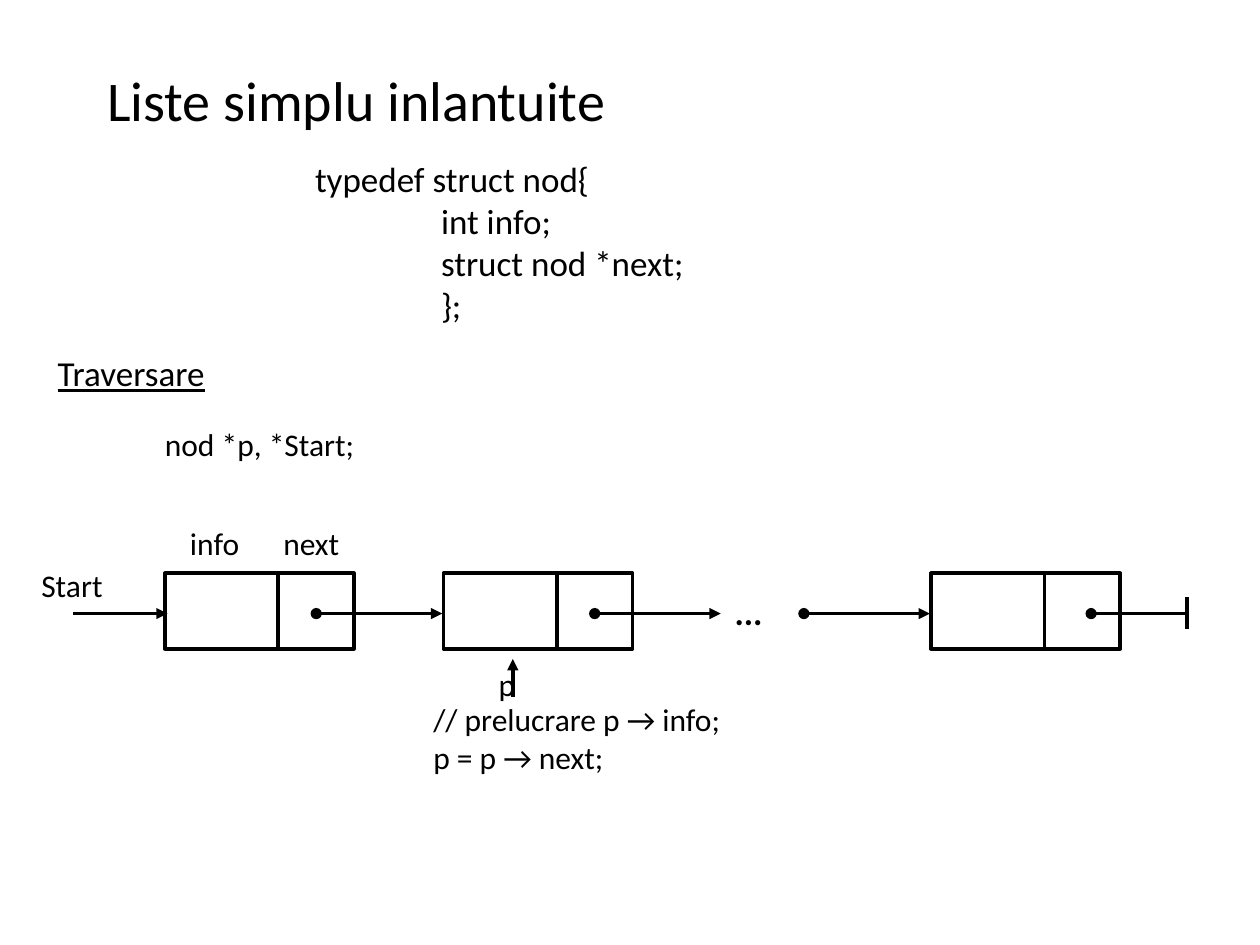
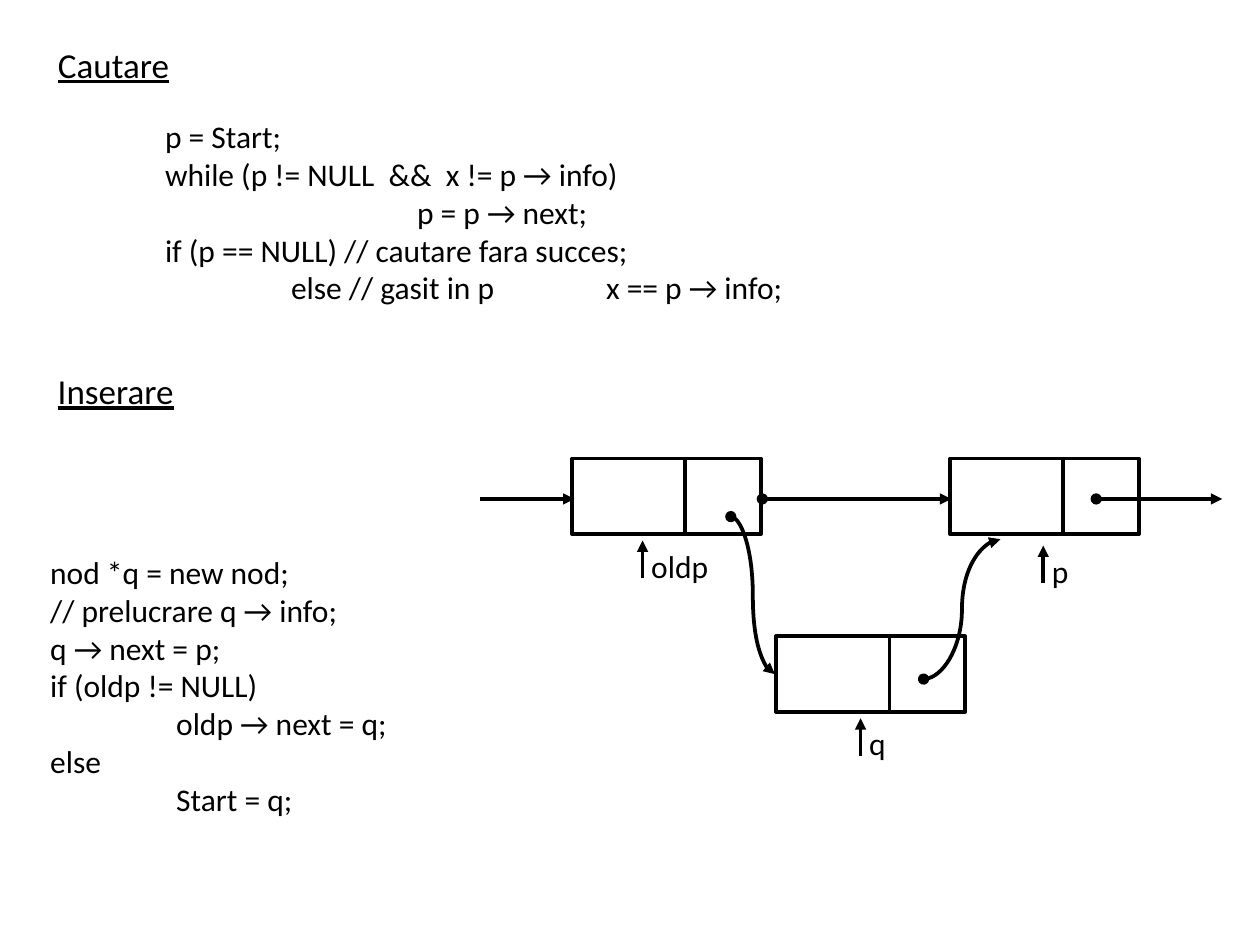
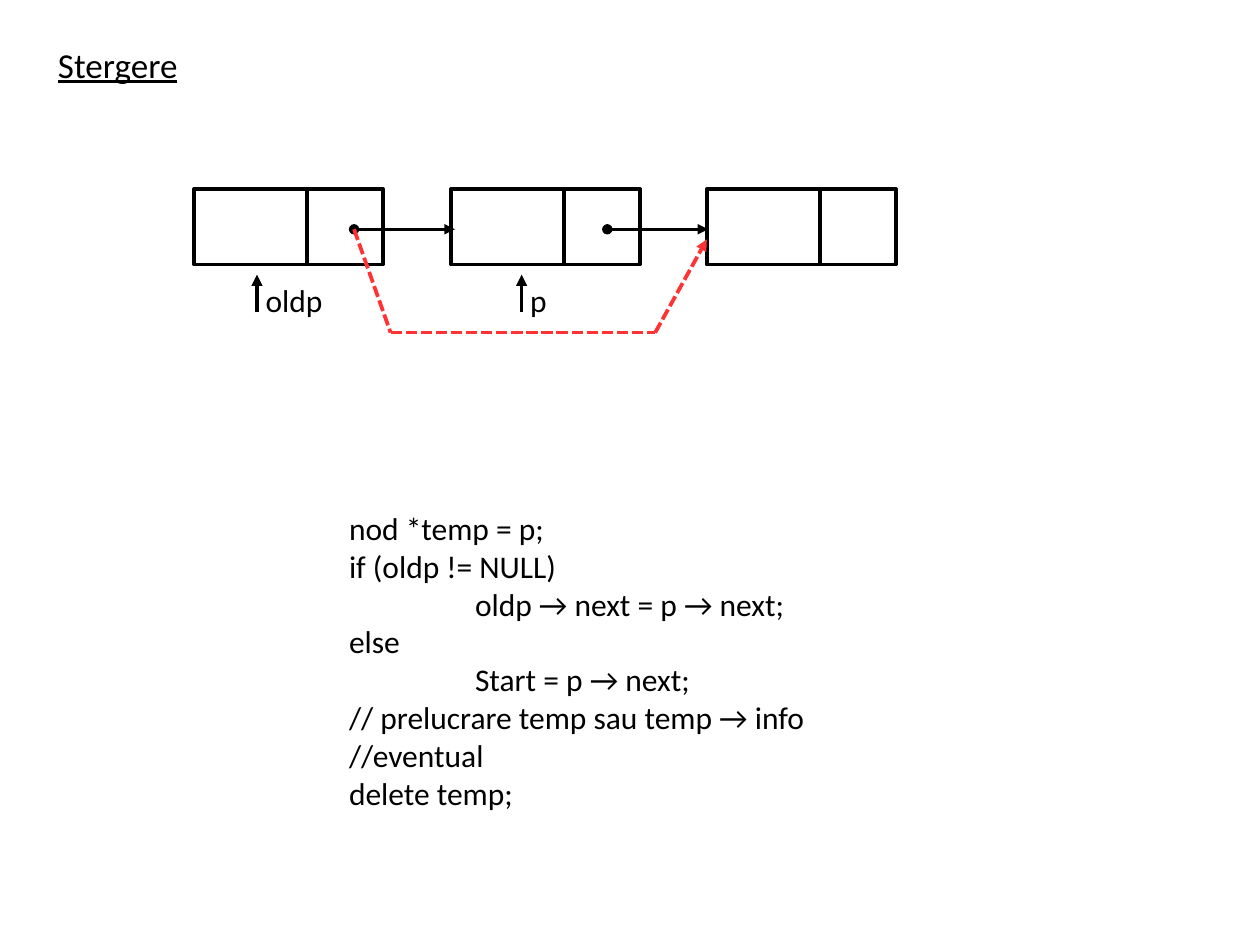
from pptx import Presentation
from pptx import util as u
from pptx.dml.color import RGBColor
from pptx.enum import dml, shapes, text
from pptx.oxml.ns import qn
from lxml import etree

EMU_PER_PX = 9144  # 100 px to the inch
BLACK, RED = "000000", "FF3333"
FONT = "Calibri"
TAB = 100
DATA_WIDTH, LINK_WIDTH, NODE_HEIGHT = 90, 60, 60
LINK_DROP = 32  # from the top of a node to its arrows


def px(value):
    return u.Emu(value * EMU_PER_PX)


def color(value):
    return RGBColor.from_string(value)


def write(shape, content, size=18, bold=False, underline=False,
          anchor=text.MSO_ANCHOR.TOP, inset=(10, 5)):
    """Fill a shape with one paragraph a line; leading tabs become indents."""
    frame = shape.text_frame
    frame.word_wrap = True
    frame.auto_size = text.MSO_AUTO_SIZE.NONE
    frame.vertical_anchor = anchor
    frame.margin_left = frame.margin_right = px(inset[0])
    frame.margin_top = frame.margin_bottom = px(inset[1])
    for number, line in enumerate(content.split("\n")):
        para = frame.paragraphs[0] if number == 0 else frame.add_paragraph()
        para.alignment = text.PP_ALIGN.LEFT
        para.space_before = u.Pt(0)
        words = line.lstrip("\t")
        props = para._p.get_or_add_pPr()
        props.set("marL", str(px((len(line) - len(words)) * TAB)))
        props.set("indent", "0")
        etree.SubElement(props, qn("a:buNone"))
        span = para.add_run()
        span.text = words
        font = span.font
        font.name, font.size, font.bold = FONT, u.Pt(size), bold
        font.underline = underline
        font.color.rgb = color(BLACK)


class Board:
    """The deck's style and the slide being filled."""

    HEADING = dict(size=20, underline=True, anchor=text.MSO_ANCHOR.MIDDLE)
    LINE = 2.15

    def __init__(self):
        self.deck = Presentation()
        self.deck.slide_width, self.deck.slide_height = px(1000), px(750)
        self.page = None

    def new_page(self):
        self.page = self.deck.slides.add_slide(self.deck.slide_layouts[1])

    def placeholder(self, index, place, content, **style):
        holder = self.page.placeholders[index]
        holder.left, holder.top, holder.width, holder.height = map(px, place)
        write(holder, content, **style)

    def title(self, content, place=(36, 22, 222, 58), **style):
        self.placeholder(0, place, content, **(self.HEADING | style))

    def body(self, place, content, **style):
        self.placeholder(1, place, content, **style)

    def box(self, place, content, **style):
        write(self.page.shapes.add_textbox(*map(px, place)), content, **style)

    def heading(self, top, content):
        self.box((36, top, 222, 58), content, **self.HEADING)

    def node(self, left, top):
        for start, width in ((left, DATA_WIDTH), (left + DATA_WIDTH, LINK_WIDTH)):
            cell = self.page.shapes.add_shape(
                shapes.MSO_SHAPE.RECTANGLE,
                px(start), px(top), px(width), px(NODE_HEIGHT))
            cell.shadow.inherit = False
            cell.fill.background()
            cell.line.color.rgb = color(BLACK)
            cell.line.width = u.Pt(self.LINE)

    def line(self, start, end, head=None, tail=None, ink=BLACK, width=LINE,
             dash=None, kind=shapes.MSO_CONNECTOR.STRAIGHT):
        link = self.page.shapes.add_connector(kind, *map(px, start + end))
        link.line.color.rgb = color(ink)
        link.line.width = u.Pt(width)
        if dash:
            link.line.dash_style = dash
        stroke = link.line._get_or_add_ln()
        for tag, shape_type in (("a:headEnd", head), ("a:tailEnd", tail)):
            if shape_type:
                etree.SubElement(stroke, qn(tag), type=shape_type)
        etree.SubElement(link._element.spPr, qn("a:effectLst"))

    def link(self, start, end, **style):
        """An arrow that leaves the dot in a node."""
        self.line(start, end, head="oval", tail="triangle", **style)

    def pointer(self, x, top, name, shift=-3):
        """A short upward arrow with a variable's name."""
        self.line((x, top + 30), (x, top), tail="triangle")
        self.box((x + shift, top, 95, 39), name)


def traversal_page(board):
    board.new_page()
    board.title("Liste simplu inlantuite", (75, 50, 850, 58),
                size=32, underline=False)
    board.body((240, 120, 420, 143),
               "typedef struct nod{\n\tint info;\n\tstruct nod *next;\n\t};", size=20)
    board.heading(267, "Traversare")
    board.box((121, 332, 391, 39), "nod *p, *Start;")

    # Linked list
    top = 455
    y = top + LINK_DROP
    for left in (131, 352, 739):
        board.node(left, top)
    board.line((58, y), (133, y), tail="triangle")
    for x in (251, 472, 638):
        board.link((x, y), (x + 100, y))
    board.box((583, 469, 38, 32), "...", size=20, bold=True,
              anchor=text.MSO_ANCHOR.MIDDLE, inset=(0, 0))
    board.line((866, y), (941, y), head="oval")
    board.line((942, 474), (942, 499))

    # Labels
    for left, label_top, name in ((23, 444, "Start"), (141, 411, "info"),
                                  (215, 411, "next")):
        board.box((left, label_top, 87, 39), name)
    board.pointer(407, 523, "p", shift=-21)
    board.box((334, 551, 391, 95), "// prelucrare p → info;\np = p → next;")


def search_and_insert_page(board):
    board.new_page()
    board.title("Cautare")
    board.body((121, 88, 789, 212),
               "p = Start;\n"
               "while (p != NULL  &&  x != p → info)\n"
               "\t\tp = p → next;\n"
               "if (p == NULL) // cautare fara succes;\n"
               "\telse // gasit in p\t\tx == p → info;")
    board.heading(281, "Inserare")
    board.box((30, 434, 391, 225),
              "nod *q = new nod;\n"
              "// prelucrare q → info;\n"
              "q → next = p;\n"
              "if (oldp != NULL)\n"
              "\toldp → next = q;\n"
              "else\n"
              "\tStart = q;")

    # Existing nodes and the inserted one
    top = 364
    y = top + LINK_DROP
    for left, node_top in ((454, top), (754, top), (616, 505)):
        board.node(left, node_top)
    board.line((381, y), (456, y), tail="triangle")
    board.link((605, y), (755, y))
    board.link((870, y), (970, y))
    for start, end in (((733, 539), (794, 428)), ((580, 410), (615, 535))):
        board.link(start, end, kind=shapes.MSO_CONNECTOR.CURVE)
    for x, pointer_top, name in ((510, 429, "oldp"), (828, 433, "p"),
                                 (683, 570, "q")):
        board.pointer(x, pointer_top, name)


def delete_page(board):
    board.new_page()
    board.title("Stergere")
    board.body((267, 399, 643, 321),
               "nod *temp = p;\n"
               "if (oldp != NULL)\n"
               "\toldp → next = p → next;\n"
               "else\n"
               "\tStart = p → next;\n"
               "// prelucrare temp sau temp → info\n"
               "//eventual\n"
               "delete temp;")

    # List with the node to remove in the middle
    top = 150
    y = top + LINK_DROP
    for left in (154, 358, 561):
        board.node(left, top)
    for x in (281, 482):
        board.link((x, y), (x + 80, y), width=1.45)
    for x, name in ((204, "oldp"), (414, "p")):
        board.pointer(x, 218, name)

    # Bypass
    bends = [(281, y), (310, 264), (520, 264), (561, 190)]
    for start, end in zip(bends, bends[1:]):
        board.line(start, end, ink=RED, dash=dml.MSO_LINE.SQUARE_DOT,
                   tail="triangle" if end == bends[-1] else None)


def main():
    board = Board()
    traversal_page(board)
    search_and_insert_page(board)
    delete_page(board)
    board.deck.save("out.pptx")


if __name__ == "__main__":
    main()
